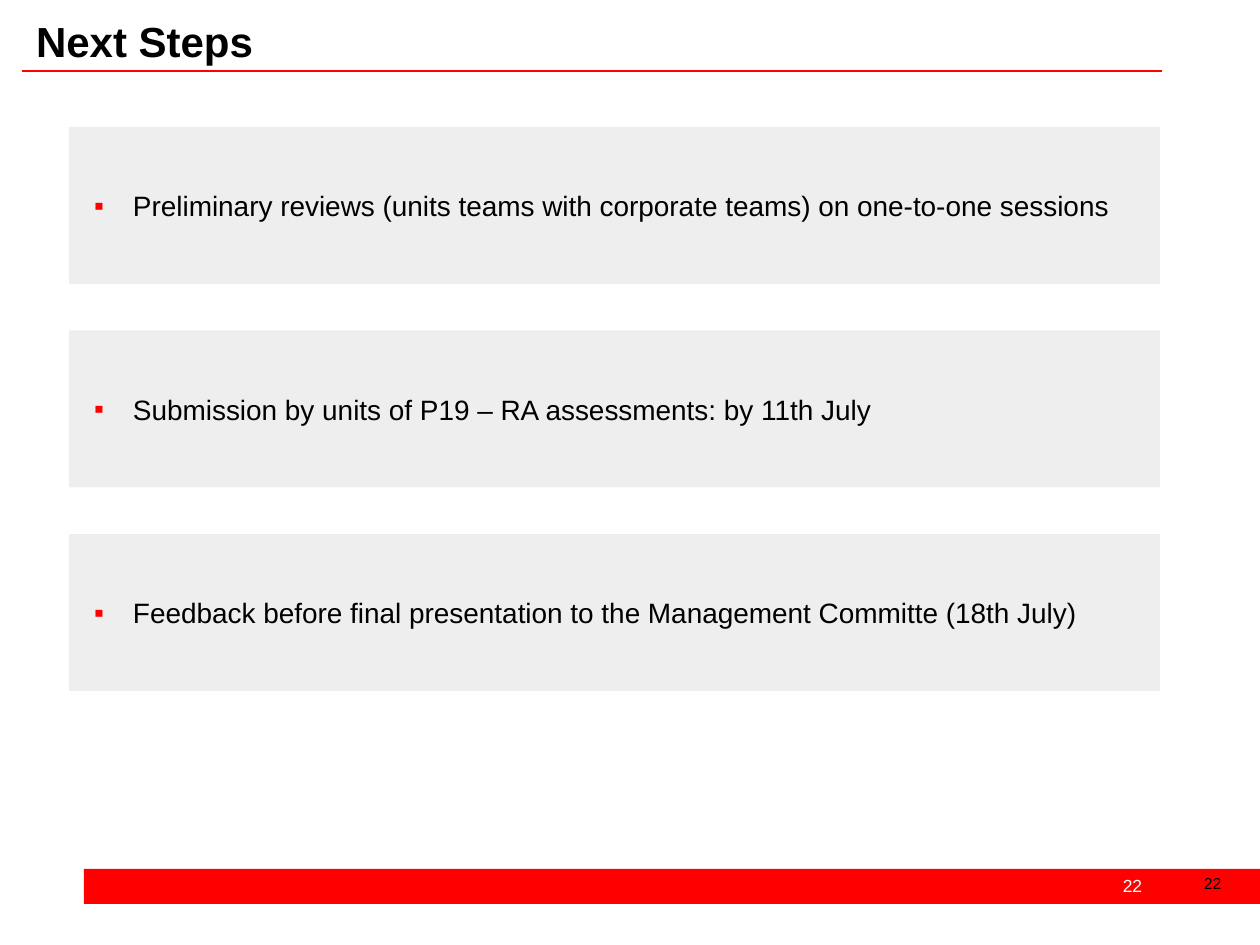
from lxml import etree
from pptx import Presentation
from pptx.dml.color import RGBColor
from pptx.enum.shapes import MSO_CONNECTOR, MSO_SHAPE
from pptx.enum.text import MSO_ANCHOR, PP_ALIGN
from pptx.oxml.ns import qn
from pptx.util import Pt

EMU_PER_PX = 914400 / 126
RED, GREY, BLACK, WHITE = "FF0000", "EEEEEE", "000000", "FFFFFF"


def px(n):
    return round(n * EMU_PER_PX)


def color(value):
    return RGBColor.from_string(value)


def add_bullet(p, char, fill, indent):
    pPr = p._p.get_or_add_pPr()
    pPr.set("marL", str(px(indent)))
    pPr.set("indent", str(-px(indent)))
    clr = etree.SubElement(pPr, qn("a:buClr"))
    etree.SubElement(clr, qn("a:srgbClr"), val=fill)
    etree.SubElement(pPr, qn("a:buFont"), typeface="Arial")
    etree.SubElement(pPr, qn("a:buChar"), char=char)


def write(tf, text, size=16, fill=BLACK, bold=False, align=PP_ALIGN.LEFT,
          anchor=MSO_ANCHOR.TOP, left=13, bullet=None):
    tf.word_wrap = True
    tf.vertical_anchor = anchor
    tf.margin_left, tf.margin_right = px(left), px(13)
    tf.margin_top = tf.margin_bottom = px(6)
    p = tf.paragraphs[0]
    p.alignment = align
    if bullet:
        add_bullet(p, bullet, RED, 39)
    r = p.add_run()
    r.text = text
    r.font.name = "Arial"
    r.font.size = Pt(size)
    r.font.bold = bold
    r.font.color.rgb = color(fill)


class Deck:
    def __init__(self, width, height):
        self.prs = Presentation()
        self.prs.slide_width, self.prs.slide_height = px(width), px(height)
        self.s = self.prs.slides.add_slide(self.prs.slide_layouts[6])

    def rect(self, x, y, w, h, fill):
        sp = self.s.shapes.add_shape(MSO_SHAPE.RECTANGLE, px(x), px(y), px(w), px(h))
        sp.shadow.inherit = False
        sp.fill.solid()
        sp.fill.fore_color.rgb = color(fill)
        sp.line.fill.background()
        return sp

    def text(self, x, y, w, h, text, **style):
        sp = self.s.shapes.add_textbox(px(x), px(y), px(w), px(h))
        write(sp.text_frame, text, **style)

    def line(self, x1, y1, x2, y2, fill, width):
        c = self.s.shapes.add_connector(MSO_CONNECTOR.STRAIGHT, px(x1), px(y1), px(x2), px(y2))
        c.line.color.rgb = color(fill)
        c.line.width = Pt(width)
        etree.SubElement(c._element.spPr, qn("a:effectLst"))

    def step(self, x, y, w, h, text):
        sp = self.rect(x, y, w, h, GREY)
        write(sp.text_frame, text, anchor=MSO_ANCHOR.MIDDLE, left=25, bullet="▪")


def main():
    deck = Deck(1260, 945)

    # Footer bar and page numbers
    deck.rect(84, 869, 1176, 35, RED)
    deck.text(1097, 869, 71, 34, "22", size=10, fill=WHITE, align=PP_ALIGN.CENTER)
    deck.text(1191, 868, 53, 50, "22", size=9)

    # Title and rule
    deck.text(23, 10, 1206, 63, "Next Steps", size=24, bold=True)
    deck.line(22, 71, 1162, 71, RED, 0.75)

    # Steps, evenly spaced
    steps = [
        "Preliminary reviews (units teams with corporate teams) on one-to-one sessions",
        "Submission by units of P19 – RA assessments: by 11th July",
        "Feedback before final presentation to the Management Committe (18th July)",
    ]
    top, pitch = 127, 203.5
    for i, step in enumerate(steps):
        deck.step(69, top + i * pitch, 1091, 157, step)

    deck.prs.save("out.pptx")


if __name__ == "__main__":
    main()
